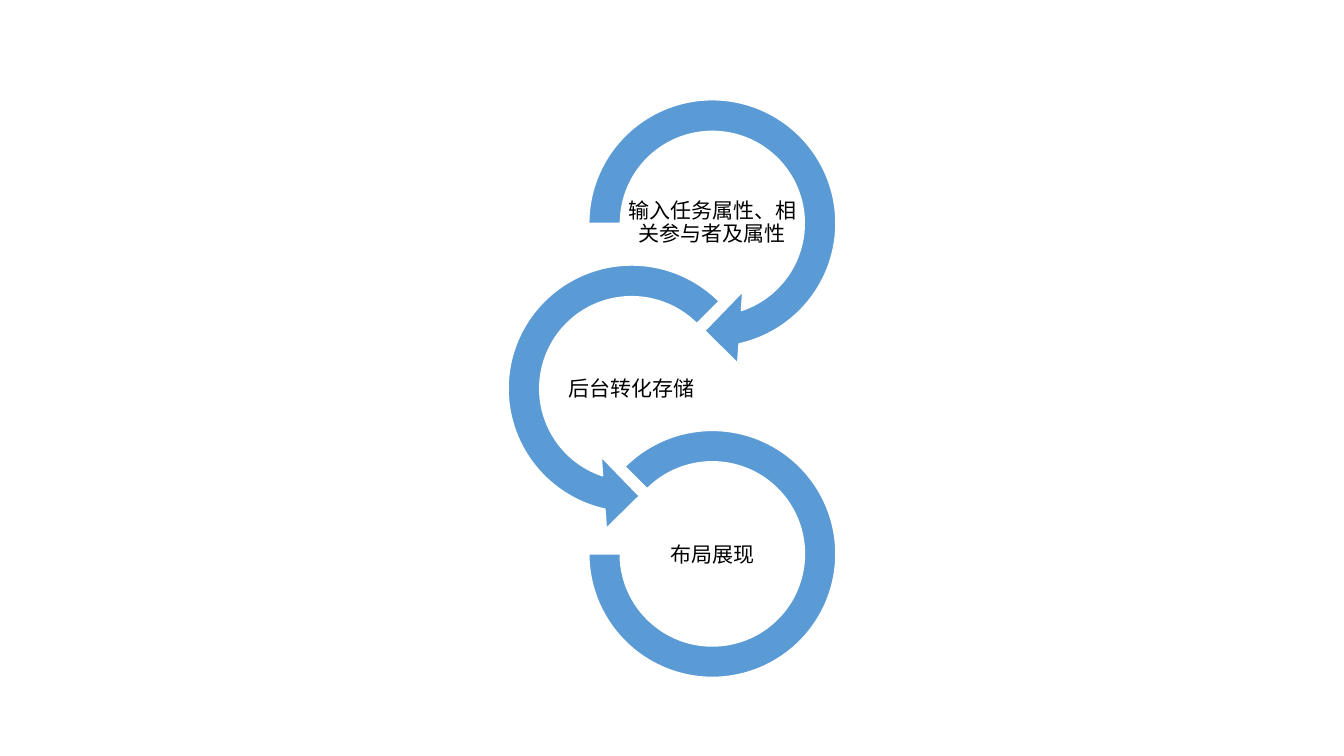
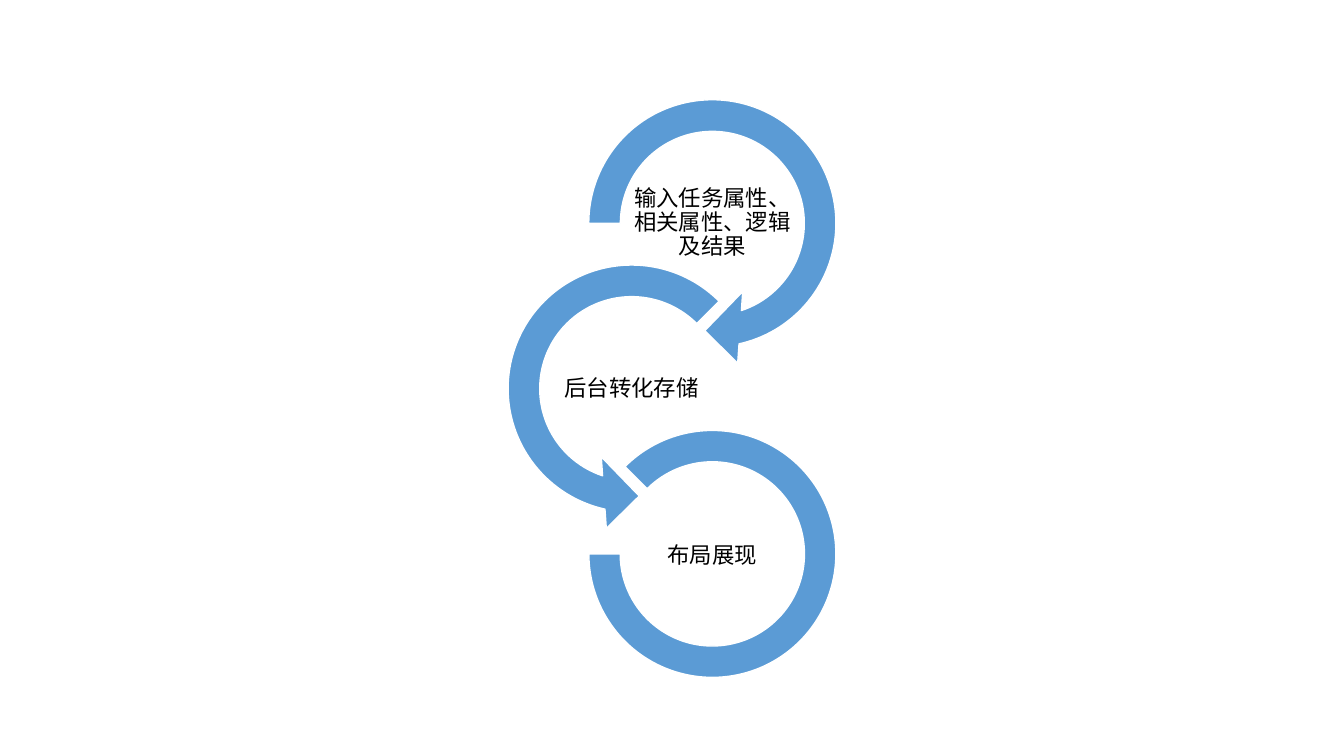
from pptx import Presentation
from pptx.dml.color import RGBColor
from pptx.enum.shapes import MSO_SHAPE as SHAPE
from pptx.enum.text import MSO_ANCHOR, PP_ALIGN
from pptx.util import Inches, Pt

BLUE = RGBColor(0x5B, 0x9B, 0xD5)
WHITE = RGBColor(0xFF, 0xFF, 0xFF)
BLACK = RGBColor(0x00, 0x00, 0x00)
FONT = "Calibri"

# Diagram box and the spacing of its steps, in inches
DIAGRAM_LEFT, DIAGRAM_TOP = 4.84, 0.79
ARROW_SIZE, ARC_SIZE = 2.85, 2.45
RING_PITCH, LABEL_PITCH = 1.64, 1.65
SIDE_SHIFT = 0.8
LABEL_HEIGHT = 0.79

# Ring shape, its adjustments, size, shift to the right, label width
STEPS = [
    (SHAPE.CIRCULAR_ARROW, (0.11, 11.42, 45, 108, 0.125), ARROW_SIZE, SIDE_SHIFT, 1.71),
    (SHAPE.LEFT_CIRCULAR_ARROW, (0.11, 11.42, 63, 189, 0.125), ARROW_SIZE, 0, 1.58),
    (SHAPE.BLOCK_ARC, (135, 108, 0.127), ARC_SIZE, SIDE_SHIFT, 1.58),
]

# Text size and step labels of each slide
SLIDES = [
    (15, ["输入任务属性、相关参与者及属性", "后台转化存储", "布局展现"]),
    (16, ["输入任务属性、相关属性、逻辑及结果", "后台转化存储", "布局展现"]),
]


def centred_box(center_x, center_y, width, height):
    return [Inches(value) for value in
            (center_x - width / 2, center_y - height / 2, width, height)]


def add_ring(group, kind, adjustments, center_x, center_y, size):
    ring = group.shapes.add_shape(kind, *centred_box(center_x, center_y, size, size))
    for index, value in enumerate(adjustments):
        ring.adjustments[index] = value
    ring.shadow.inherit = False
    ring.fill.solid()
    ring.fill.fore_color.rgb = BLUE
    ring.line.color.rgb = WHITE
    ring.line.width = Pt(1)


def add_label(group, text, text_size, center_x, center_y, width):
    label = group.shapes.add_textbox(*centred_box(center_x, center_y, width, LABEL_HEIGHT))
    frame = label.text_frame
    frame.word_wrap = True
    frame.vertical_anchor = MSO_ANCHOR.MIDDLE
    frame.margin_left = frame.margin_right = Inches(0.01)
    frame.margin_top = frame.margin_bottom = Inches(0.01)
    frame.text = text
    paragraph = frame.paragraphs[0]
    paragraph.alignment = PP_ALIGN.CENTER
    paragraph.line_spacing = 0.9
    font = paragraph.runs[0].font
    font.name, font.size = FONT, Pt(text_size)
    font.color.rgb = BLACK


def add_process(slide, left, top, labels, text_size):
    """Three linked rings running down the box, each with its label inside."""
    group = slide.shapes.add_group_shape()
    first_y = top + ARROW_SIZE / 2
    for index, (step, text) in enumerate(zip(STEPS, labels)):
        kind, adjustments, size, shift, label_width = step
        center_x = left + shift + ARROW_SIZE / 2
        add_ring(group, kind, adjustments, center_x, first_y + index * RING_PITCH, size)
        add_label(group, text, text_size, center_x,
                  first_y + index * LABEL_PITCH, label_width)


presentation = Presentation()
presentation.slide_width = Inches(13.33)
presentation.slide_height = Inches(7.5)
blank = presentation.slide_layouts[6]
for text_size, labels in SLIDES:
    add_process(presentation.slides.add_slide(blank), DIAGRAM_LEFT, DIAGRAM_TOP,
                labels, text_size)
presentation.save("out.pptx")
